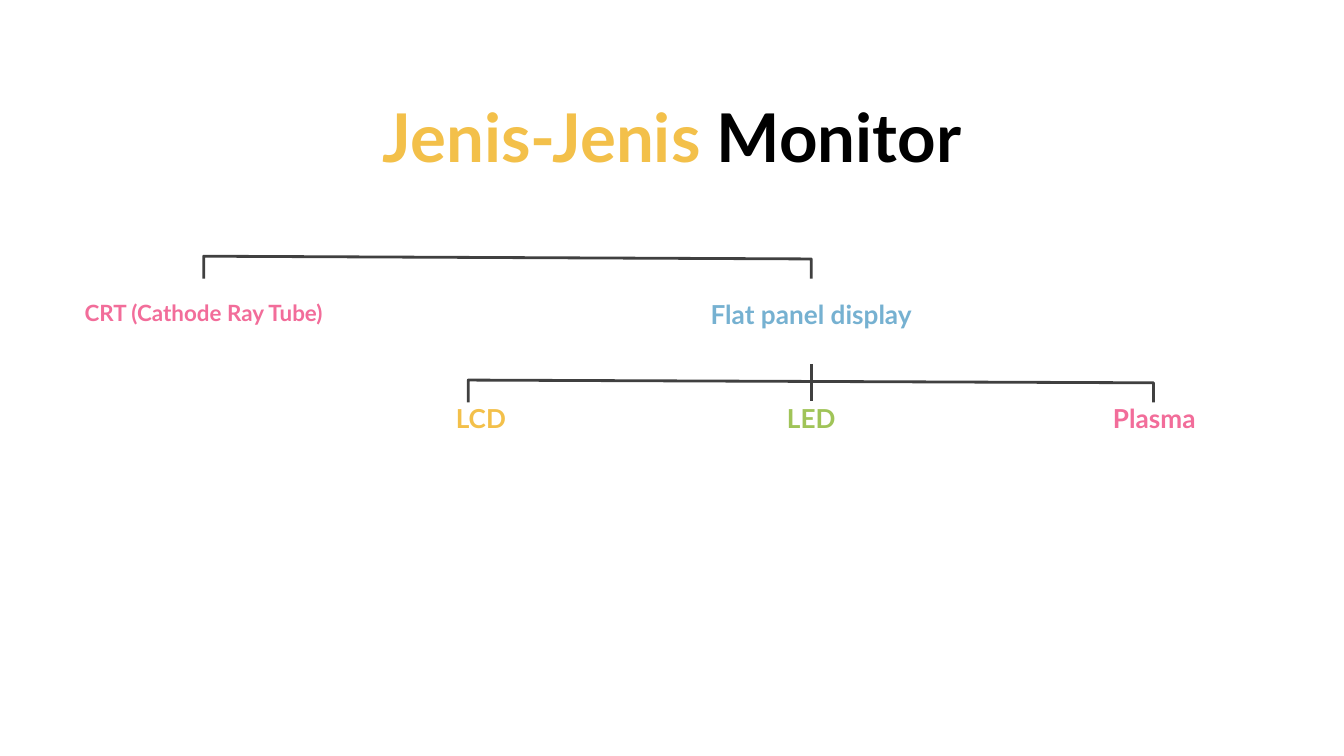
"""Build a slide with a tree of monitor types."""
from lxml.etree import SubElement
from pptx import Presentation
from pptx.dml.color import RGBColor
from pptx.enum.shapes import MSO_CONNECTOR as Connector
from pptx.enum.text import MSO_ANCHOR as Anchor, MSO_AUTO_SIZE as AutoSize, PP_ALIGN as Align
from pptx.oxml.ns import qn
from pptx.util import Inches, Pt

WIDTH, HEIGHT = 1920, 1080
PX = Inches(10) / WIDTH
YELLOW, PINK, BLUE, GREEN = "F3C04A", "F26D9A", "76B1D1", "A0C458"
BLACK, GREY = "000000", "404040"


def px(*lengths):
    """Turn lengths in px into EMU."""
    return [int(length * PX) for length in lengths]


def paint(target, color):
    """Give a fill, line or font colour from a hex string."""
    target.rgb = RGBColor.from_string(color)


def write(paragraph, text, *, size=14, color=BLACK, font="Lato", bold=True, align=Align.CENTER):
    """Add a formatted run to a paragraph."""
    paragraph.alignment = align
    run = paragraph.add_run()
    run.text = text
    run.font.size = Pt(size)
    run.font.name = font
    run.font.bold = bold
    paint(run.font.color, color)


class TreeSlide:
    """Hold the line style and the current slide."""

    def __init__(self, slide, line_color=GREY, line_width=1.5):
        """Keep the slide and its line style."""
        self.slide = slide
        self.line_color = line_color
        self.line_width = Pt(line_width)

    def style_line(self, line):
        """Apply the tree's line style."""
        paint(line.color, self.line_color)
        line.width = self.line_width

    def title(self, box, parts):
        """Place the title and write its coloured parts."""
        shape = self.slide.shapes.title
        shape.left, shape.top, shape.width, shape.height = px(*box)
        frame = shape.text_frame
        frame.auto_size = AutoSize.NONE
        frame.vertical_anchor = Anchor.MIDDLE
        for text, color in parts:
            write(frame.paragraphs[0], text, size=36, color=color)

    def label(self, text, center, top, color, *, size=14, width=406, height=65):
        """Add a label centred on an x position."""
        left = center - width // 2
        frame = self.slide.shapes.add_textbox(*px(left, top, width, height)).text_frame
        frame.word_wrap = True
        frame.auto_size = AutoSize.SHAPE_TO_FIT_TEXT
        write(frame.paragraphs[0], text, size=size, color=color)

    def bracket(self, left, right, top, height=32, slope=4):
        """Draw an open bracket that drops to both branches."""
        bottom = top + height
        corners = [(left, top), (right, top + slope), (right, bottom)]
        builder = self.slide.shapes.build_freeform(left, bottom, scale=PX)
        builder.add_line_segments(corners, close=False)
        shape = builder.convert_to_shape()
        shape.shadow.inherit = False
        shape.fill.background()
        self.style_line(shape.line)

    def stem(self, x, top, bottom):
        """Draw a vertical line."""
        connector = self.slide.shapes.add_connector(Connector.STRAIGHT, *px(x, top, x, bottom))
        SubElement(connector._element.spPr, qn("a:effectLst"))
        self.style_line(connector.line)


def main():
    """Build and save the presentation."""
    presentation = Presentation()
    presentation.slide_width, presentation.slide_height = px(WIDTH, HEIGHT)
    tree = TreeSlide(presentation.slides.add_slide(presentation.slide_layouts[5]))

    tree.title((0, 112, WIDTH, 163), [("Jenis-Jenis ", YELLOW), ("Monitor", BLACK)])

    tree.bracket(669, 1648, 543)
    tree.stem(1159, 520, 573)
    tree.label("LED", 1159, 566, GREEN)
    tree.label("CRT (Cathode Ray Tube)", 291, 418, PINK, size=12, height=104)
    tree.label("Plasma", 1649, 566, PINK)
    tree.bracket(291, 1159, 366)
    tree.label("LCD", 687, 566, YELLOW)
    tree.label("Flat panel display", 1159, 417, BLUE)

    presentation.save("out.pptx")


if __name__ == "__main__":
    main()
